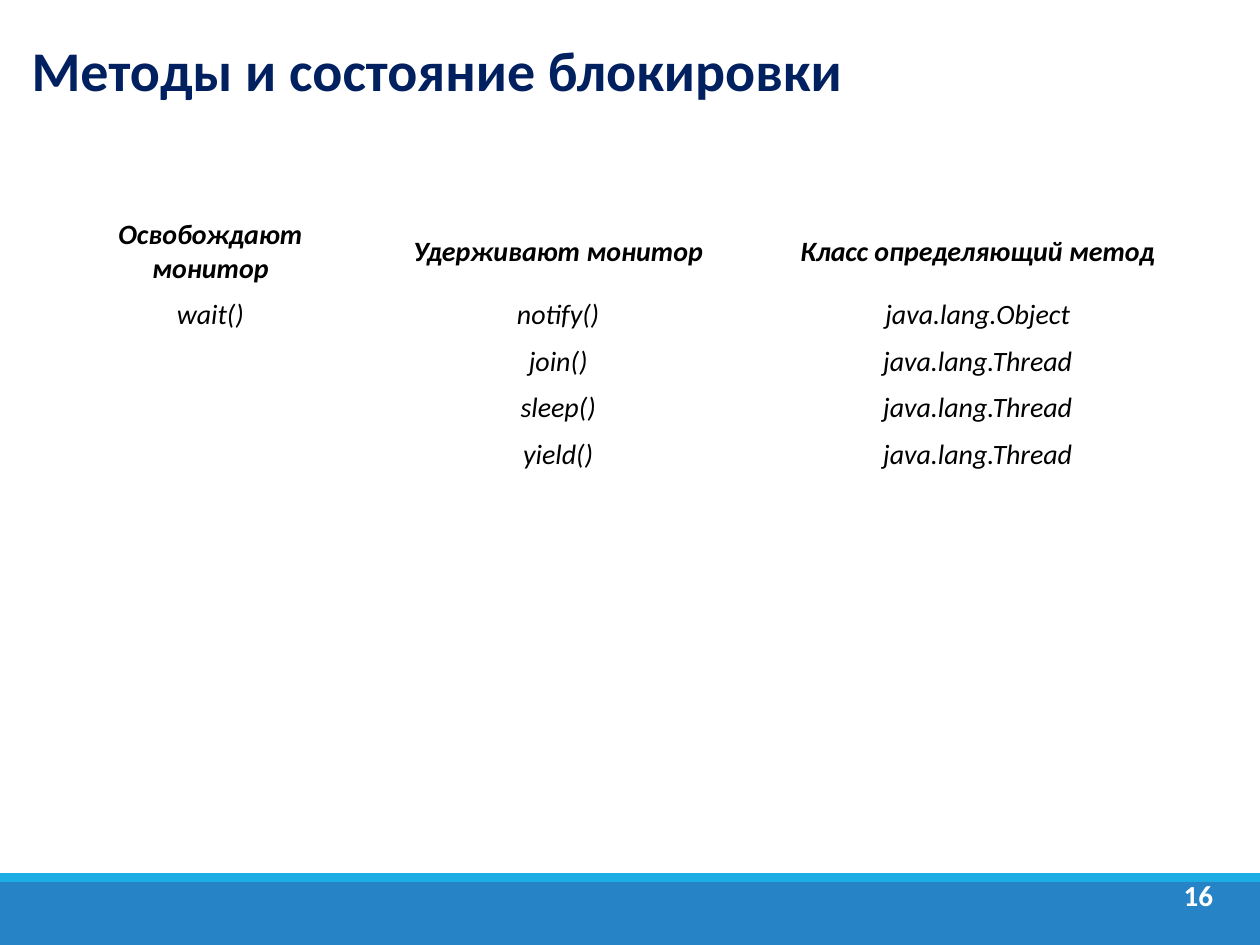
from lxml import etree
from pptx import Presentation
from pptx.dml.color import RGBColor
from pptx.enum.shapes import MSO_SHAPE as Preset
from pptx.enum.text import MSO_ANCHOR as Anchor, MSO_AUTO_SIZE as AutoSize, PP_ALIGN as Align
from pptx.oxml.ns import qn
from pptx.util import Inches, Pt

WIDTH, HEIGHT = 10, 7.5
FONT = "Calibri"
WHITE, BLACK, NAVY = "FFFFFF", "000000", "002060"
BLUE, SKY = "2683C6", "1CADE4"


def paint(fill, color):
    fill.solid()
    fill.fore_color.rgb = RGBColor.from_string(color)


def write(frame, text, size=16, color=BLACK, bold=False, italic=False,
          align=Align.CENTER, anchor=Anchor.MIDDLE, spacing=1.0, before=0, after=0):
    frame.word_wrap = True
    frame.vertical_anchor = anchor
    paragraph = frame.paragraphs[0]
    paragraph.alignment = align
    paragraph.line_spacing = spacing
    paragraph.space_before, paragraph.space_after = Pt(before), Pt(after)
    if not text:
        # An empty cell keeps the row height of its neighbours
        etree.SubElement(paragraph._p, qn("a:endParaRPr"), sz=str(size * 100))
        return
    run = paragraph.add_run()
    run.text = text
    font = run.font
    font.name, font.size, font.bold, font.italic = FONT, Pt(size), bold, italic
    paint(font.fill, color)


class Page:
    """Current slide; boxes are left, top, width, height as shares of its size."""

    def __init__(self, presentation):
        self.slide = presentation.slides.add_slide(presentation.slide_layouts[5])
        paint(self.slide.background.fill, WHITE)

    def place(self, box):
        sides = (WIDTH, HEIGHT, WIDTH, HEIGHT)
        return [Inches(share * side) for share, side in zip(box, sides)]

    def title(self, box, text, **style):
        shape = self.slide.shapes.title
        shape.left, shape.top, shape.width, shape.height = self.place(box)
        shape.text_frame.auto_size = AutoSize.NONE
        write(shape.text_frame, text, **style)

    def bar(self, box, color):
        shape = self.slide.shapes.add_shape(Preset.RECTANGLE, *self.place(box))
        shape.shadow.inherit = False
        paint(shape.fill, color)
        shape.line.fill.background()

    def label(self, box, text, **style):
        shape = self.slide.shapes.add_textbox(*self.place(box))
        write(shape.text_frame, text, **style)

    def table(self, box, rows, widths, heights):
        shape = self.slide.shapes.add_table(len(rows), len(widths), *self.place(box))
        table = shape.table
        table.horz_banding = False
        for column, width in zip(table.columns, widths):
            column.width = Inches(width * WIDTH)
        for row, height, texts in zip(table.rows, heights, rows):
            row.height = Inches(height * HEIGHT)
            for cell, text in zip(row.cells, texts):
                paint(cell.fill, WHITE)
                cell.vertical_anchor = Anchor.MIDDLE
                write(cell.text_frame, text, bold=texts is rows[0], italic=True)
        self.clear_borders(table)

    def clear_borders(self, table):
        for cell in table.iter_cells():
            properties = cell._tc.get_or_add_tcPr()
            for index, side in enumerate(("lnL", "lnR", "lnT", "lnB")):
                line = etree.Element(qn("a:" + side), w="0")
                etree.SubElement(line, qn("a:noFill"))
                properties.insert(index, line)


presentation = Presentation()
presentation.slide_width, presentation.slide_height = Inches(WIDTH), Inches(HEIGHT)
page = Page(presentation)

# Footer bands
page.bar((0, 7 / HEIGHT, 1, 0.5 / HEIGHT), BLUE)
page.bar((0, 6.93 / HEIGHT, 1, 0.07 / HEIGHT), SKY)

# Title and page number
page.title((0.015, 0.2 / HEIGHT, 0.934, 0.77 / HEIGHT), "Методы и состояние блокировки",
           size=32, color=NAVY, bold=True, align=Align.LEFT,
           spacing=0.9, before=12, after=2)
page.label((0.927, 6.95 / HEIGHT, 0.048, 0.4 / HEIGHT), "16",
           size=16.6, color=WHITE, bold=True, anchor=Anchor.TOP, spacing=0.9)

# Methods and the monitor
thread = "java.lang.Thread"
rows = [("Освобождают монитор", "Удерживают монитор", "Класс определяющий метод"),
        ("wait()", "notify()", "java.lang.Object")]
rows += [("", method, thread) for method in ("join()", "sleep()", "yield()")]
page.table((0.05, 1.68 / HEIGHT, 0.9, 2.04 / HEIGHT), rows,
           widths=(0.234, 0.318, 0.348),
           heights=[0.55 / HEIGHT] + [0.37 / HEIGHT] * 4)

presentation.save("out.pptx")
